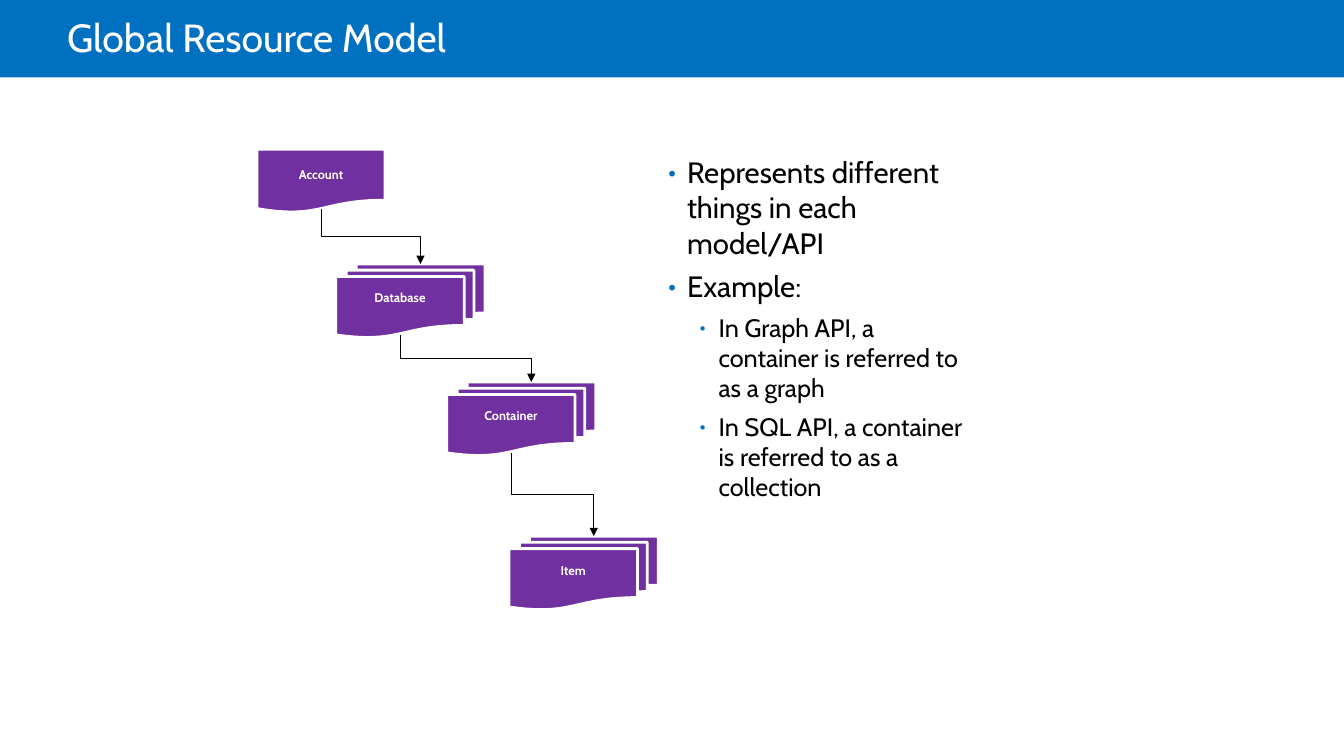
from dataclasses import dataclass
from itertools import pairwise

import pptx
import pptx.dml.color
import pptx.enum.shapes
import pptx.enum.text
import pptx.oxml
import pptx.oxml.ns
import pptx.shapes.autoshape
import pptx.slide
import pptx.text.text
import pptx.util
from lxml import etree

Pt = pptx.util.Pt
RGB = pptx.dml.color.RGBColor
Preset = pptx.enum.shapes.MSO_SHAPE
Align = pptx.enum.text.PP_ALIGN
Anchor = pptx.enum.text.MSO_ANCHOR
qn = pptx.oxml.ns.qn


@dataclass(frozen=True)
class Theme:
    font: str = "Cabin"
    blue: RGB = RGB(0x00, 0x70, 0xC0)
    purple: RGB = RGB(0x70, 0x30, 0xA0)
    white: RGB = RGB(0xFF, 0xFF, 0xFF)
    black: RGB = RGB(0x00, 0x00, 0x00)
    title_size: float = 28
    body_sizes: tuple[float, float] = (21, 18)
    label_size: float = 9
    outline: float = 2
    link_width: float = 0.75


@dataclass(frozen=True)
class NodeStyle:
    preset: Preset
    width: float
    height: float
    exit_x: float
    exit_y: float
    entry_x: float
    bottom_inset: float


@dataclass(frozen=True)
class Resource:
    name: str
    left: float
    top: float
    style: NodeStyle


@dataclass(frozen=True)
class Bullet:
    text: str
    level: int = 0


THEME = Theme()
SLIDE_WIDTH, SLIDE_HEIGHT = 960, 540

SINGLE = NodeStyle(Preset.FLOWCHART_DOCUMENT, 91.4, 45.4, 45.7, 42.4, 45.7, 3.6)
STACK = NodeStyle(Preset.FLOWCHART_MULTIDOCUMENT, 106.6, 52.6, 46, 50.4, 60.5, 14.6)

RESOURCES = [
    Resource("Account", 183.6, 106.6, SINGLE),
    Resource("Database", 239.8, 188.6, STACK),
    Resource("Container", 319, 272.9, STACK),
    Resource("Item", 363.6, 383, STACK),
]

BULLETS = [
    Bullet("Represents different things in each model/API"),
    Bullet("Example:"),
    Bullet("In Graph API, a container is referred to as a graph", 1),
    Bullet("In SQL API, a container is referred to as a collection", 1),
]
BULLET_INDENTS = (13.5, 36)
BULLET_SCALES = ("90000", "80000")


def add_run(paragraph: pptx.text.text._Paragraph, text: str, size: float,
            color: RGB, bold: bool = False) -> None:
    run = paragraph.add_run()
    run.text = text
    run.font.name = THEME.font
    run.font.size = Pt(size)
    run.font.bold = bold
    run.font.color.rgb = color


def add_filled(slide: pptx.slide.Slide, preset: Preset, left: float, top: float,
               width: float, height: float, fill: RGB) -> pptx.shapes.autoshape.Shape:
    shape = slide.shapes.add_shape(preset, Pt(left), Pt(top), Pt(width), Pt(height))
    shape.shadow.inherit = False
    shape.fill.solid()
    shape.fill.fore_color.rgb = fill
    return shape


def add_title(slide: pptx.slide.Slide, text: str) -> None:
    """Fill the title placeholder and lay the blue band behind it."""
    band = add_filled(slide, Preset.RECTANGLE, 0, 0, SLIDE_WIDTH, 55.4, THEME.blue)
    band.line.fill.background()
    slide.shapes._spTree.insert(2, band._element)

    title = slide.shapes.title
    title.left, title.top, title.width, title.height = Pt(48), Pt(0), Pt(816.5), Pt(58.3)
    frame = title.text_frame
    frame.auto_size = pptx.enum.text.MSO_AUTO_SIZE.NONE
    frame.word_wrap = True
    frame.vertical_anchor = Anchor.MIDDLE
    frame.margin_left = 0
    paragraph = frame.paragraphs[0]
    paragraph.alignment = Align.LEFT
    paragraph.line_spacing = 0.85
    add_run(paragraph, text, THEME.title_size, THEME.white)


def add_resource(slide: pptx.slide.Slide, resource: Resource) -> None:
    style = resource.style
    node = add_filled(slide, style.preset, resource.left, resource.top,
                      style.width, style.height, THEME.purple)
    node.line.color.rgb = THEME.white
    node.line.width = Pt(THEME.outline)
    frame = node.text_frame
    frame.word_wrap = True
    frame.vertical_anchor = Anchor.MIDDLE
    frame.margin_bottom = Pt(style.bottom_inset)
    label = frame.paragraphs[0]
    label.alignment = Align.CENTER
    add_run(label, resource.name, THEME.label_size, THEME.white, bold=True)


def add_link(slide: pptx.slide.Slide, parent: Resource, child: Resource) -> None:
    """Draw an elbow arrow that runs down, across and down again."""
    start_x = parent.left + parent.style.exit_x
    start_y = parent.top + parent.style.exit_y
    end_x = child.left + child.style.entry_x
    center_x, center_y = (start_x + end_x) / 2, (start_y + child.top) / 2
    half_across, half_down = (end_x - start_x) / 2, (child.top - start_y) / 2

    # Elbows leave sideways, so the box is swapped and turned by 270 degrees.
    link = slide.shapes.add_connector(
        pptx.enum.shapes.MSO_CONNECTOR.ELBOW,
        Pt(center_x + half_down), Pt(center_y - half_across),
        Pt(center_x - half_down), Pt(center_y + half_across))
    properties = link._element.spPr
    properties.find(qn("a:xfrm")).set("rot", str(270 * 60000))
    link.line.color.rgb = THEME.black
    link.line.width = Pt(THEME.link_width)
    etree.SubElement(properties.find(qn("a:ln")), qn("a:tailEnd"), type="triangle")
    etree.SubElement(properties, qn("a:effectLst"))


def format_bullet(paragraph: pptx.text.text._Paragraph, level: int) -> None:
    properties = paragraph._p.get_or_add_pPr()
    properties.set("marL", str(Pt(BULLET_INDENTS[level])))
    properties.set("indent", str(-Pt(BULLET_INDENTS[0])))
    color = etree.SubElement(properties, qn("a:buClr"))
    etree.SubElement(color, qn("a:srgbClr"), val=str(THEME.blue))
    etree.SubElement(properties, qn("a:buSzPct"), val=BULLET_SCALES[level])
    etree.SubElement(properties, qn("a:buFont"), typeface=THEME.font)
    etree.SubElement(properties, qn("a:buChar"), char="•")


def add_bullets(slide: pptx.slide.Slide, bullets: list[Bullet]) -> None:
    body = slide.shapes.add_textbox(Pt(470.2), Pt(106.6), Pt(224.6), Pt(329))
    frame = body.text_frame
    frame.word_wrap = True
    for index, bullet in enumerate(bullets):
        paragraph = frame.add_paragraph() if index else frame.paragraphs[0]
        paragraph.level = bullet.level
        format_bullet(paragraph, bullet.level)
        paragraph.space_before = Pt(6 if index else 0)
        add_run(paragraph, bullet.text, THEME.body_sizes[bullet.level], THEME.black)


def main() -> None:
    presentation = pptx.Presentation()
    presentation.slide_width, presentation.slide_height = Pt(SLIDE_WIDTH), Pt(SLIDE_HEIGHT)
    slide = presentation.slides.add_slide(presentation.slide_layouts[5])
    add_title(slide, "Global Resource Model")
    add_bullets(slide, BULLETS)
    for resource in RESOURCES:
        add_resource(slide, resource)
    for parent, child in pairwise(RESOURCES):
        add_link(slide, parent, child)
    presentation.save("out.pptx")


if __name__ == "__main__":
    main()
